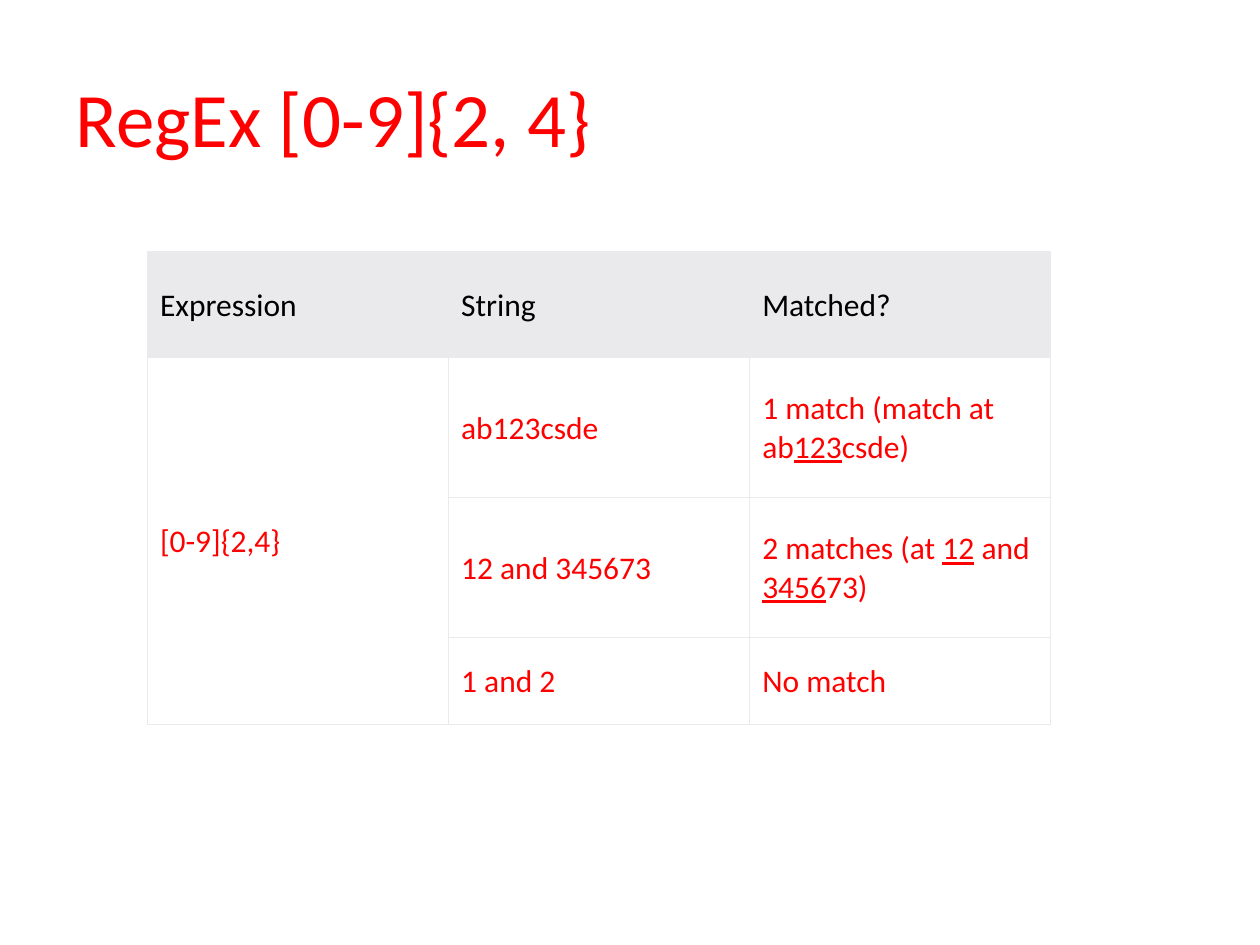
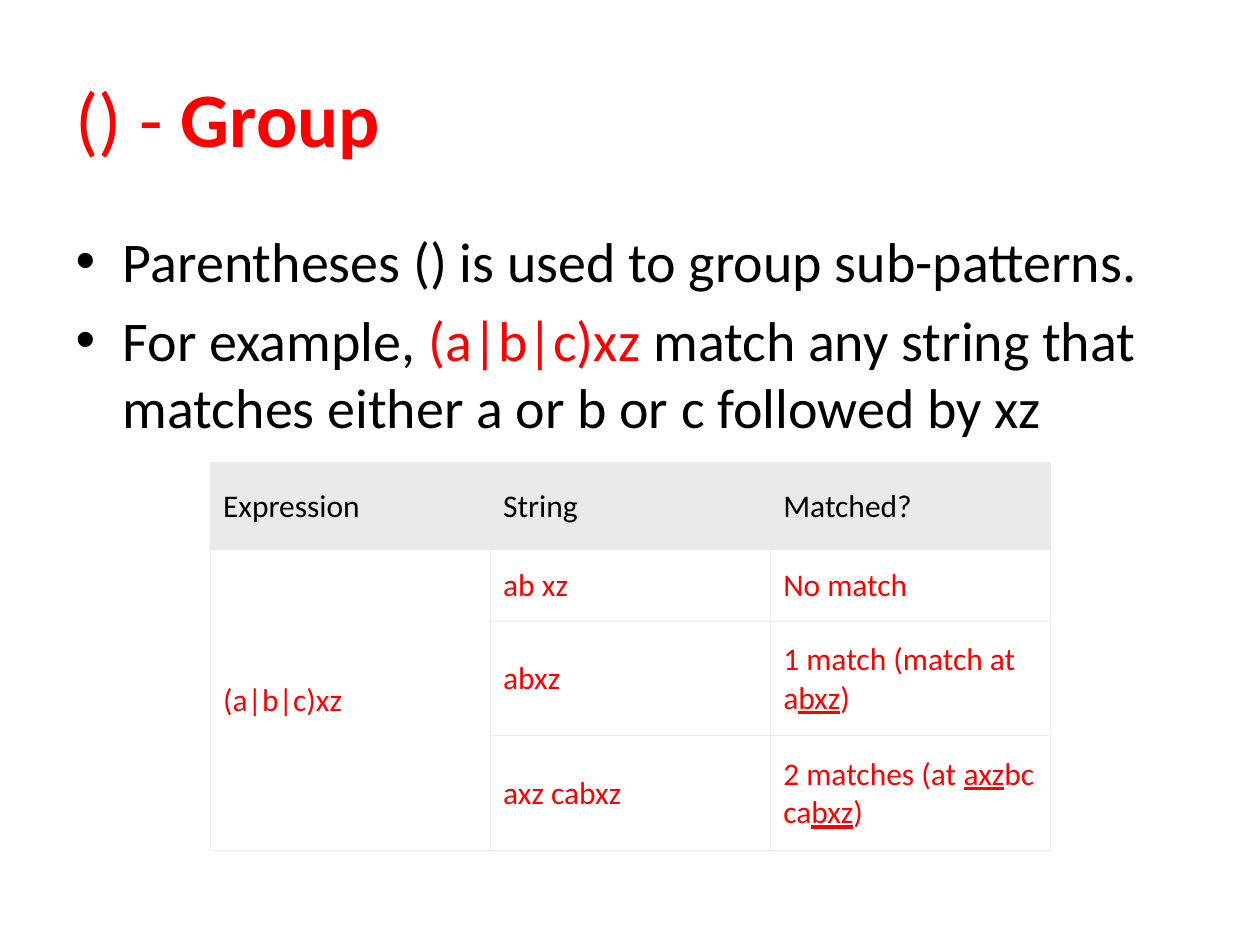
"""Build two slides on regular expressions: repetition ranges and groups."""
from lxml.etree import SubElement
from pptx import Presentation
from pptx.dml.color import RGBColor
from pptx.enum.text import MSO_ANCHOR, MSO_AUTO_SIZE, PP_ALIGN
from pptx.oxml.ns import qn
from pptx.util import Inches, Pt

HEADER = ("Expression", "String", "Matched?")

# Underscores enclose the emphasised part of a text.
SLIDES = [
    {
        "title": "RegEx [0-9]{2, 4}",
        "bullets": [],
        "expression": "[0-9]{2,4}",
        "matches": [
            ("ab123csde", "1 match (match at ab_123_csde)"),
            ("12 and 345673", "2 matches (at _12_ and _3456_73)"),
            ("1 and 2", "No match"),
        ],
        "table_at": (1.17, 2),
        "table_width": 7.17,
        "row_heights": (0.84, 1.11, 1.11, 0.69),
    },
    {
        "title": "() - _Group_",
        "bullets": [
            "Parentheses () is used to group sub-patterns.",
            "For example, _(a|b|c)xz_ match any string that matches "
            "either a or b or c followed by xz",
        ],
        "expression": "(a|b|c)xz",
        "matches": [
            ("ab xz", "No match"),
            ("abxz", "1 match (match at a_bxz_)"),
            ("axz cabxz", "2 matches (at _axz_bc ca_bxz_)"),
        ],
        "table_at": (1.67, 3.67),
        "table_width": 6.67,
        "row_heights": (0.69, 0.57, 0.91, 0.91),
    },
]

RED, BLACK, WHITE, GREY = "FF0000", "000000", "FFFFFF", "EAEAEC"
THEME = {
    "font": "Calibri",
    "border": {"color": GREY, "width": Pt(0.75)},
    "title": {"size": 44, "color": RED, "emphasis": {"bold": True}},
    "body": {"size": 32, "color": BLACK, "emphasis": {"color": RED}},
    "header": {"size": 18, "color": BLACK, "fill": GREY,
               "margins": (0.1, 0.16, 0.08, 0.15)},
    "cell": {"size": 18, "color": RED, "fill": WHITE,
             "margins": (0.1, 0.1, 0.08, 0.09), "emphasis": {"underline": True}},
}
TITLE_BOX = (0.5, 0.3, 9, 1.25)
BODY_BOX = (0.5, 1.75, 9, 1.75)
TITLE_AND_CONTENT, TITLE_ONLY = 1, 5


def set_all(target, values):
    for name, value in values.items():
        setattr(target, name, value)


def place(shape, box):
    sides = ("left", "top", "width", "height")
    set_all(shape, dict(zip(sides, map(Inches, box))))
    set_all(shape.text_frame, {"auto_size": MSO_AUTO_SIZE.NONE, "word_wrap": True})


def write(para, text, style):
    for index, part in enumerate(text.split("_")):
        if not part:
            continue
        values = {"bold": False, "color": style["color"]}
        if index % 2:
            values.update(style["emphasis"])
        span = para.add_run()
        span.text = part
        span.font.color.rgb = RGBColor.from_string(values.pop("color"))
        set_all(span.font, {"name": THEME["font"], "size": Pt(style["size"]), **values})


def add_borders(cell):
    border = THEME["border"]
    properties = cell._tc.get_or_add_tcPr()
    for side in ("a:lnL", "a:lnR", "a:lnT", "a:lnB"):
        line = SubElement(properties, qn(side), w=str(border["width"]))
        fill = SubElement(line, qn("a:solidFill"))
        SubElement(fill, qn("a:srgbClr"), val=border["color"])


def fill_cell(cell, text, style):
    sides = ("margin_left", "margin_top", "margin_right", "margin_bottom")
    set_all(cell, dict(zip(sides, map(Inches, style["margins"]))))
    cell.vertical_anchor = MSO_ANCHOR.MIDDLE
    add_borders(cell)
    cell.fill.solid()
    cell.fill.fore_color.rgb = RGBColor.from_string(style["fill"])
    write(cell.text_frame.paragraphs[0], text, style)


def add_match_table(page, content):
    expressions = [content["expression"]] + [""] * (len(content["matches"]) - 1)
    rows = [HEADER] + [(name, *match)
                       for name, match in zip(expressions, content["matches"])]
    heights = content["row_heights"]
    box = (*content["table_at"], content["table_width"], sum(heights))
    table = page.shapes.add_table(len(rows), len(HEADER), *map(Inches, box)).table
    set_all(table, {"first_row": False, "horz_banding": False})
    for column in table.columns:
        column.width = Inches(content["table_width"] / len(HEADER))
    for row_index, (texts, height) in enumerate(zip(rows, heights)):
        table.rows[row_index].height = Inches(height)
        style = THEME["cell" if row_index else "header"]
        for column_index, text in enumerate(texts):
            fill_cell(table.cell(row_index, column_index), text, style)
    table.cell(1, 0).merge(table.cell(len(rows) - 1, 0))


def add_bullets(page, bullets):
    body = page.placeholders[1]
    place(body, BODY_BOX)
    frame = body.text_frame
    for index, text in enumerate(bullets):
        para = frame.add_paragraph() if index else frame.paragraphs[0]
        para.space_before = Pt(0.2 * THEME["body"]["size"] if index else 0)
        write(para, text, THEME["body"])


def add_page(deck, content):
    layout = TITLE_AND_CONTENT if content["bullets"] else TITLE_ONLY
    page = deck.slides.add_slide(deck.slide_layouts[layout])
    title = page.shapes.title
    place(title, TITLE_BOX)
    para = title.text_frame.paragraphs[0]
    para.alignment = PP_ALIGN.LEFT
    write(para, content["title"], THEME["title"])
    if content["bullets"]:
        add_bullets(page, content["bullets"])
    add_match_table(page, content)


def main():
    deck = Presentation()
    set_all(deck, {"slide_width": Inches(10), "slide_height": Inches(7.5)})
    for content in SLIDES:
        add_page(deck, content)
    deck.save("out.pptx")


if __name__ == "__main__":
    main()
